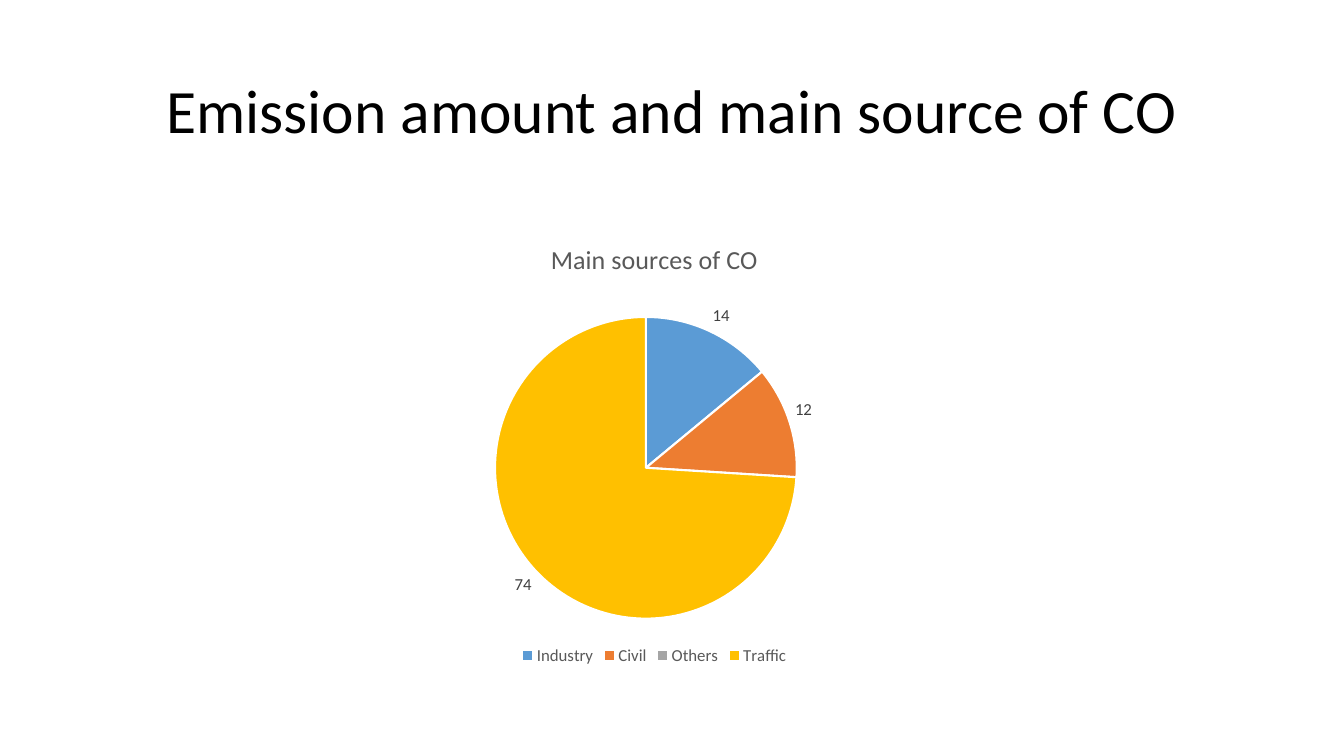
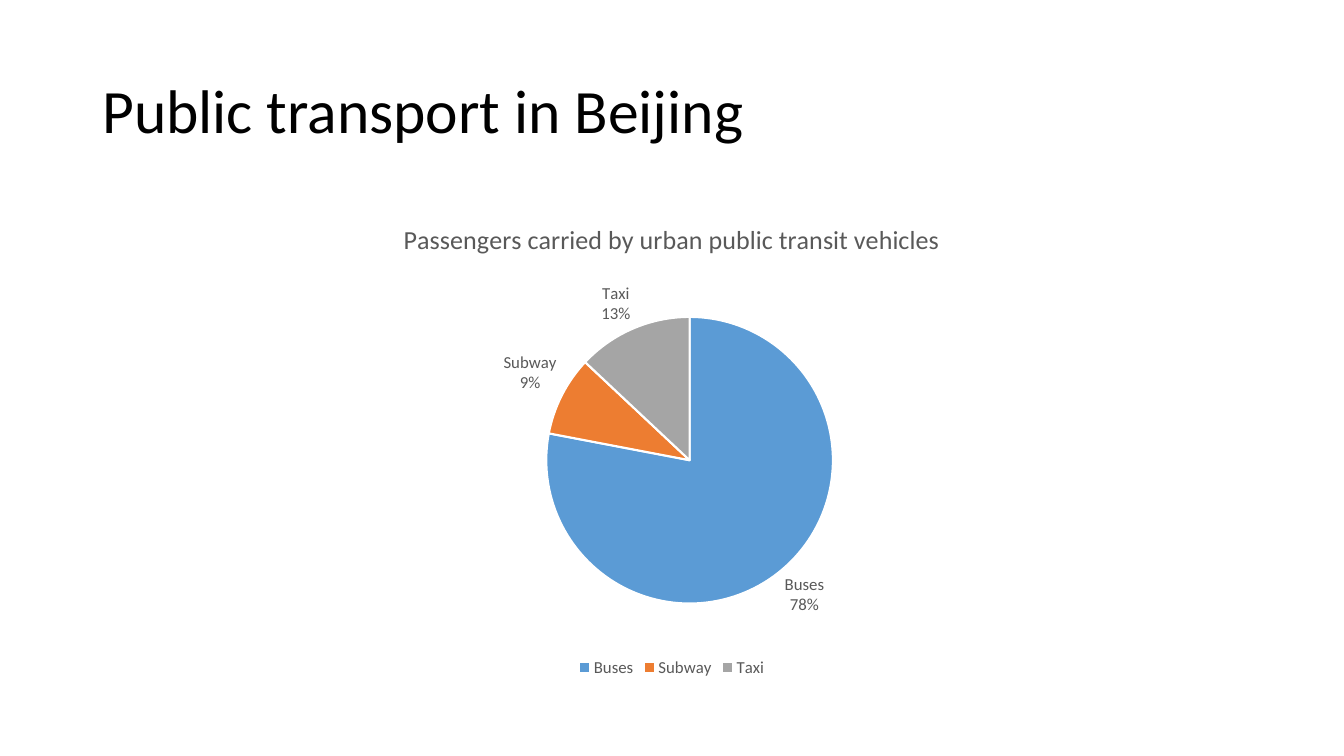
from dataclasses import dataclass

from lxml.etree import SubElement
from pptx import Presentation
from pptx.chart.chart import Chart
from pptx.chart.data import CategoryChartData
from pptx.dml.color import RGBColor
from pptx.enum.chart import XL_CHART_TYPE as ChartType
from pptx.enum.chart import XL_LABEL_POSITION as LabelPos
from pptx.enum.chart import XL_LEGEND_POSITION as LegendPos
from pptx.enum.text import MSO_ANCHOR as Anchor
from pptx.enum.text import PP_ALIGN as Align
from pptx.oxml.ns import qn
from pptx.slide import Slide
from pptx.text.text import Font
from pptx.util import Pt

FONT = "Calibri"
COLORS = {
    "title": "000000",
    "muted": "595959",
    "label": "404040",
    "edge": "FFFFFF",
    "blue": "5B9BD5",
    "orange": "ED7D31",
    "gray": "A5A5A5",
    "gold": "FFC000",
}
SLICES = ("blue", "orange", "gray", "gold")


@dataclass(frozen=True)
class Box:
    left: float
    top: float
    width: float
    height: float


TITLE_BOX = Box(66, 28.75, 828, 104.4)


@dataclass(frozen=True)
class PieSlide:
    title: str
    align: Align
    chart_title: str
    values: dict[str, int]
    frame: Box
    pie: Box
    label_color: str
    percent: bool


SLIDES = (
    PieSlide(
        "Emission amount and main source of CO",
        Align.CENTER,
        "Main sources of CO",
        {"Industry": 14, "Civil": 12, "Others": 0, "Traffic": 74},
        Box(227.5, 158.4, 480, 319.7),
        Box(353.6, 226.4, 215.6, 215.6),
        "label",
        False,
    ),
    PieSlide(
        "Public transport in Beijing",
        Align.LEFT,
        "Passengers carried by urban public transit vehicles",
        {"Buses": 78, "Subway": 9, "Taxi": 13},
        Box(66, 144, 828, 342.7),
        Box(390.2, 226.4, 204.8, 204.8),
        "muted",
        True,
    ),
)


def rgb(name: str) -> RGBColor:
    return RGBColor.from_string(COLORS[name])


def style_font(font: Font, size: float, color: str) -> None:
    font.name = FONT
    font.size = Pt(size)
    font.bold = False
    font.color.rgb = rgb(color)


def place(box: Box) -> tuple[Pt, Pt, Pt, Pt]:
    return Pt(box.left), Pt(box.top), Pt(box.width), Pt(box.height)


def add_title(s: Slide, text: str, align: Align) -> None:
    tf = s.shapes.add_textbox(*place(TITLE_BOX)).text_frame
    tf.word_wrap = True
    tf.vertical_anchor = Anchor.MIDDLE
    p = tf.paragraphs[0]
    p.text = text
    p.alignment = align
    p.line_spacing = 0.9
    style_font(p.runs[0].font, 44, "title")


def set_plot_layout(chart: Chart, frame: Box, pie: Box) -> None:
    area = chart.element.find(".//" + qn("c:plotArea"))
    for old in area.findall(qn("c:layout")):
        area.remove(old)
    layout = SubElement(area, qn("c:layout"))
    area.insert(0, layout)
    manual = SubElement(layout, qn("c:manualLayout"))
    settings = {
        "layoutTarget": "inner",
        "xMode": "edge",
        "yMode": "edge",
        "x": (pie.left - frame.left) / frame.width,
        "y": (pie.top - frame.top) / frame.height,
        "w": pie.width / frame.width,
        "h": pie.height / frame.height,
    }
    for tag, value in settings.items():
        SubElement(manual, qn(f"c:{tag}")).set("val", str(value))


def label_slices(chart: Chart, item: PieSlide) -> None:
    labels = chart.plots[0].series[0].data_labels
    labels.show_value = not item.percent
    labels.show_category_name = item.percent
    labels.show_percentage = item.percent
    labels.number_format = "0%" if item.percent else "0;;;"
    labels.number_format_is_linked = False
    labels.position = LabelPos.OUTSIDE_END
    style_font(labels.font, 12, item.label_color)
    if item.percent:
        bubble = chart.element.find(f".//{qn('c:ser')}/{qn('c:dLbls')}/{qn('c:showBubbleSize')}")
        separator = SubElement(bubble.getparent(), qn("c:separator"))
        separator.text = "\n"
        bubble.addnext(separator)


def add_pie(s: Slide, item: PieSlide) -> None:
    data = CategoryChartData()
    data.categories = list(item.values)
    data.add_series(item.chart_title, list(item.values.values()))
    chart = s.shapes.add_chart(ChartType.PIE, *place(item.frame), data).chart
    style_font(chart.font, 10, "title")

    chart.has_title = True
    p = chart.chart_title.text_frame.paragraphs[0]
    p.text = item.chart_title
    style_font(p.runs[0].font, 18.6, "muted")
    chart.chart_title.include_in_layout = False

    chart.has_legend = True
    chart.legend.position = LegendPos.BOTTOM
    chart.legend.include_in_layout = False
    style_font(chart.legend.font, 12, "muted")

    plot = chart.plots[0]
    plot.vary_by_categories = True
    for i, color in enumerate(SLICES[: len(item.values)]):
        fmt = plot.series[0].points[i].format
        fmt.fill.solid()
        fmt.fill.fore_color.rgb = rgb(color)
        fmt.line.color.rgb = rgb("edge")
        fmt.line.width = Pt(1.5)
    label_slices(chart, item)
    set_plot_layout(chart, item.frame, item.pie)


def main() -> None:
    prs = Presentation()
    prs.slide_width, prs.slide_height = Pt(960), Pt(540)
    blank = prs.slide_layouts[6]
    for item in SLIDES:
        s = prs.slides.add_slide(blank)
        add_title(s, item.title, item.align)
        add_pie(s, item)
    prs.save("out.pptx")


if __name__ == "__main__":
    main()
